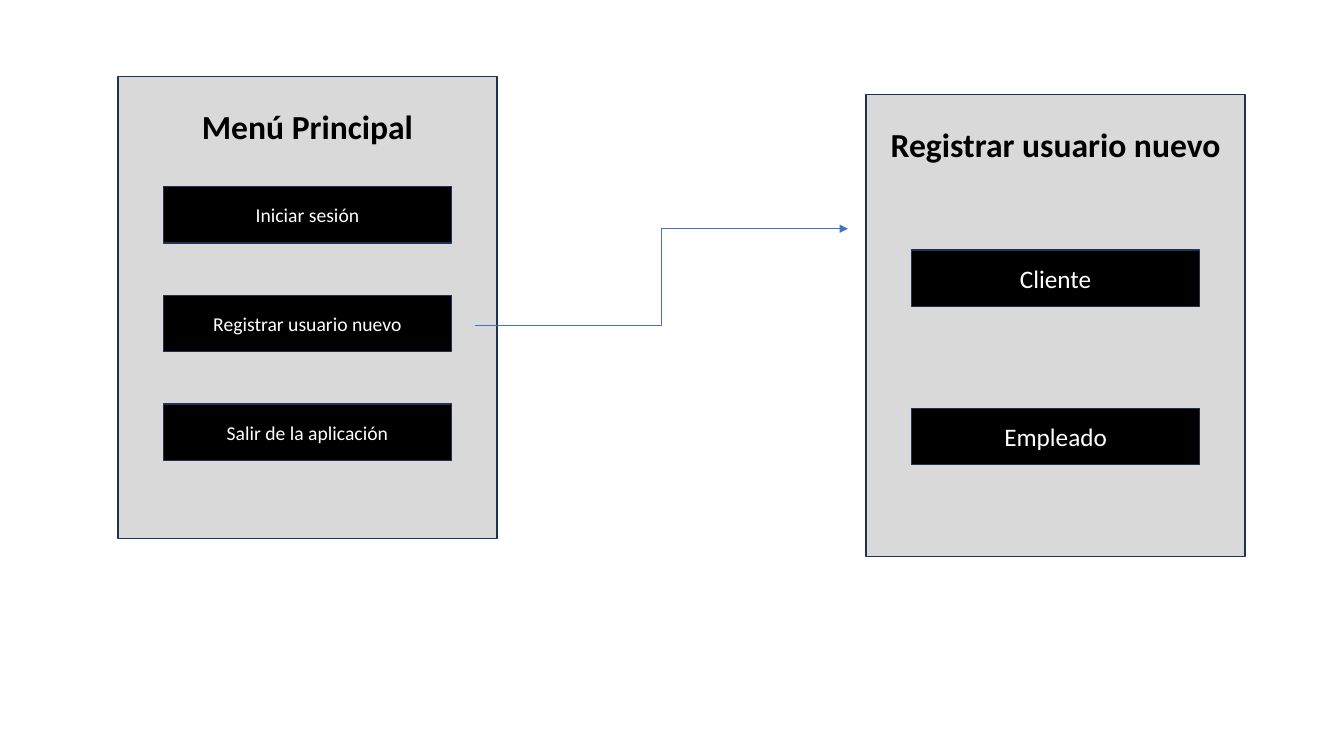
from pptx import Presentation
from pptx.dml.color import RGBColor
from pptx.enum.shapes import MSO_CONNECTOR, MSO_SHAPE
from pptx.enum.text import MSO_ANCHOR, MSO_AUTO_SIZE, PP_ALIGN
from pptx.oxml.ns import qn
from pptx.util import Inches, Pt
from lxml.etree import SubElement

FONT = "Calibri"
PANEL_GRAY = RGBColor(0xD9, 0xD9, 0xD9)
BORDER_NAVY = RGBColor(0x1E, 0x32, 0x56)
ARROW_BLUE = RGBColor(0x44, 0x72, 0xC4)
BLACK = RGBColor(0, 0, 0)
WHITE = RGBColor(0xFF, 0xFF, 0xFF)

PANEL_WIDTH, PANEL_HEIGHT = 3.76, 4.58
HEADING_OFFSET, HEADING_HEIGHT = 0.24, 0.5
BUTTON_WIDTH, BUTTON_HEIGHT = 2.86, 0.56
BUTTON_INDENT = (PANEL_WIDTH - BUTTON_WIDTH) / 2


def write_text(frame, text, size, color, bold=False):
    frame.text = text
    frame.word_wrap = True
    paragraph = frame.paragraphs[0]
    paragraph.alignment = PP_ALIGN.CENTER
    font = paragraph.runs[0].font
    font.name, font.size, font.bold = FONT, Pt(size), bold
    font.color.rgb = color


def add_box(slide, left, top, width, height, fill):
    box = slide.shapes.add_shape(MSO_SHAPE.RECTANGLE, Inches(left), Inches(top),
                                 Inches(width), Inches(height))
    box.shadow.inherit = False
    box.fill.solid()
    box.fill.fore_color.rgb = fill
    box.line.color.rgb = BORDER_NAVY
    box.line.width = Pt(1)
    return box


def place_heading(heading, left, top, text):
    heading.left, heading.top = Inches(left), Inches(top)
    heading.width, heading.height = Inches(PANEL_WIDTH), Inches(HEADING_HEIGHT)
    frame = heading.text_frame
    write_text(frame, text, 24, BLACK, bold=True)
    frame.vertical_anchor = MSO_ANCHOR.TOP
    frame.auto_size = MSO_AUTO_SIZE.SHAPE_TO_FIT_TEXT
    frame.paragraphs[0].line_spacing = 1.0
    frame.paragraphs[0].space_before = Pt(0)


def add_buttons(slide, left, first_top, pitch, labels, size):
    for row, label in enumerate(labels):
        button = add_box(slide, left, first_top + row * pitch,
                         BUTTON_WIDTH, BUTTON_HEIGHT, BLACK)
        button.text_frame.vertical_anchor = MSO_ANCHOR.MIDDLE
        write_text(button.text_frame, label, size, WHITE)


def add_elbow_arrow(slide, start, end):
    arrow = slide.shapes.add_connector(MSO_CONNECTOR.ELBOW,
                                       *map(Inches, start), *map(Inches, end))
    arrow.line.color.rgb = ARROW_BLUE
    arrow.line.width = Pt(0.5)
    SubElement(arrow.line._get_or_add_ln(), qn("a:tailEnd"), type="triangle")
    SubElement(arrow._element.spPr, qn("a:effectLst"))


def main():
    prs = Presentation()
    prs.slide_width, prs.slide_height = Inches(13.33), Inches(7.5)
    slide = prs.slides.add_slide(prs.slide_layouts[5])

    # Main menu panel, with the slide title brought in front of it
    menu_left, menu_top = 1.17, 0.76
    add_box(slide, menu_left, menu_top, PANEL_WIDTH, PANEL_HEIGHT, PANEL_GRAY)
    title = slide.shapes.title
    slide.shapes._spTree.append(title._element)
    place_heading(title, menu_left, menu_top + HEADING_OFFSET, "Menú Principal")
    add_buttons(slide, menu_left + BUTTON_INDENT, 1.85, 1.08,
                ["Iniciar sesión", "Registrar usuario nuevo",
                 "Salir de la aplicación"], 14)

    # Step from the menu to the registration panel
    add_elbow_arrow(slide, (4.71, 3.23), (8.41, 2.27))

    # Registration panel
    register_left, register_top = 8.59, 0.94
    add_box(slide, register_left, register_top, PANEL_WIDTH, PANEL_HEIGHT, PANEL_GRAY)
    register_heading = slide.shapes.add_textbox(0, 0, 0, 0)
    place_heading(register_heading, register_left, register_top + HEADING_OFFSET,
                  "Registrar usuario nuevo")
    add_buttons(slide, register_left + BUTTON_INDENT, 2.48, 1.57,
                ["Cliente", "Empleado"], 18)

    prs.save("out.pptx")


if __name__ == "__main__":
    main()
